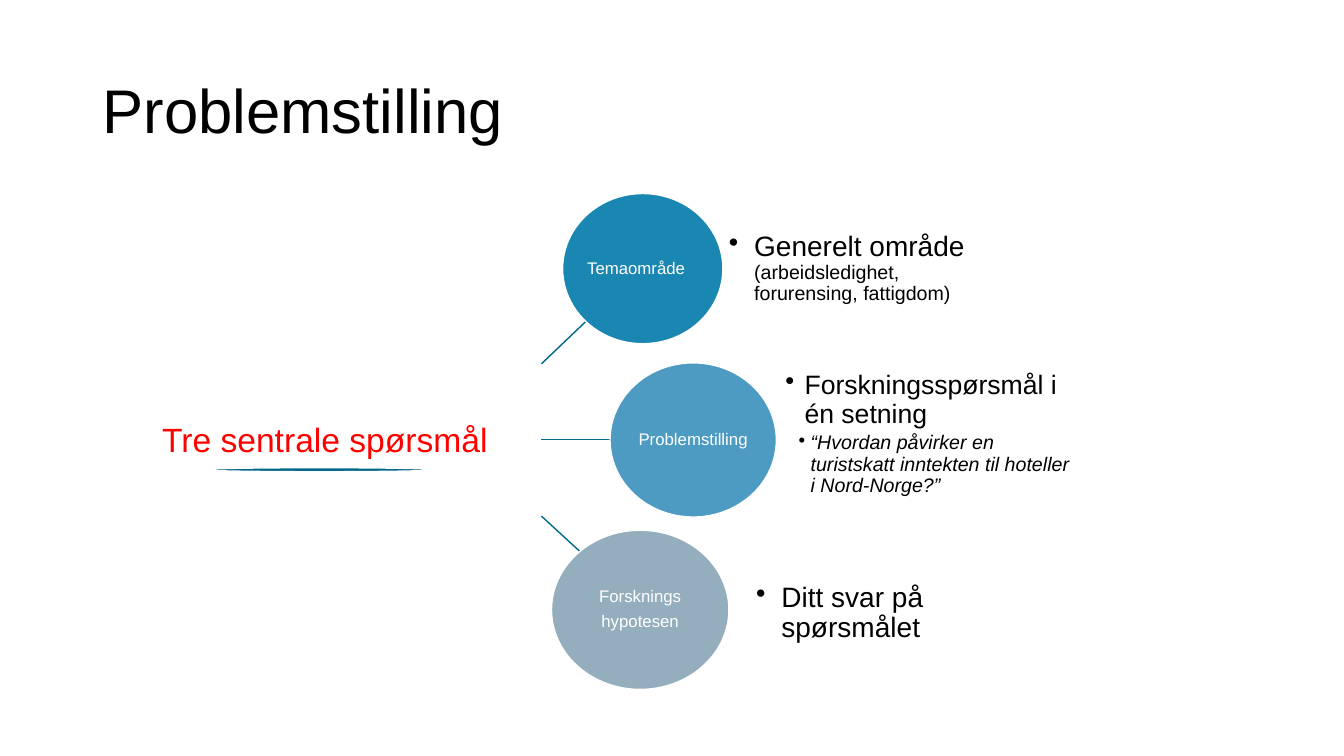
from dataclasses import dataclass

from lxml import etree
from pptx import Presentation
from pptx.dml.color import RGBColor
from pptx.enum.shapes import MSO_CONNECTOR, MSO_SHAPE
from pptx.enum.text import MSO_ANCHOR, PP_ALIGN
from pptx.oxml.ns import qn
from pptx.util import Emu, Pt

ELLIPSE = MSO_SHAPE.OVAL
STRAIGHT = MSO_CONNECTOR.STRAIGHT
MIDDLE = MSO_ANCHOR.MIDDLE
TOP = MSO_ANCHOR.TOP
CENTER = PP_ALIGN.CENTER
LEFT = PP_ALIGN.LEFT
EMU_PER_PX = 9144


@dataclass(frozen=True)
class Theme:
    """Colours, font and type sizes of the slide."""
    font: str = "Arial"
    text: str = "000000"
    white: str = "FFFFFF"
    accent: str = "006888"
    alert: str = "FF0000"
    circles: tuple = ("1A86B2", "4D9AC2", "95AEBE")
    title: int = 44
    heading: int = 24
    lead: int = 20
    question: int = 19
    small: int = 14
    label: int = 12
    line: int = 1


def px(value):
    """Turn whole px, 100 to the inch, into EMU."""
    return Emu(value * EMU_PER_PX)


def rgb(code):
    """Turn a hex code into a colour."""
    return RGBColor.from_string(code)


class SlideBuilder:
    """Draws themed elements on the current slide."""

    def __init__(self, slide, theme):
        """Keep the slide and its theme."""
        self.slide = slide
        self.theme = theme

    def style_run(self, run, size, color, italic=False):
        """Set the font of one run."""
        run.font.name = self.theme.font
        run.font.size = Pt(size)
        run.font.color.rgb = rgb(color)
        run.font.italic = italic

    def frame(self, shape, margins, anchor, wrap=True):
        """Set up the text frame of a shape and return it."""
        frame = shape.text_frame
        frame.word_wrap = wrap
        frame.vertical_anchor = anchor
        frame.margin_left, frame.margin_top, frame.margin_right, frame.margin_bottom = map(px, margins)
        return frame

    def text(self, box, text, size, color, anchor, wrap=True, spacing=1.0):
        """Add a single line of text."""
        shape = self.slide.shapes.add_textbox(*map(px, box))
        frame = self.frame(shape, (10, 5, 10, 5), anchor, wrap)
        frame.text = text
        paragraph = frame.paragraphs[0]
        paragraph.alignment = LEFT
        paragraph.line_spacing = spacing
        self.style_run(paragraph.runs[0], size, color)

    def ellipse(self, box, fill):
        """Add a filled ellipse with a thin white outline."""
        shape = self.slide.shapes.add_shape(ELLIPSE, *map(px, box))
        shape.shadow.inherit = False
        shape.fill.solid()
        shape.fill.fore_color.rgb = rgb(fill)
        shape.line.color.rgb = rgb(self.theme.white)
        shape.line.width = Pt(self.theme.line)
        return shape

    def circle(self, box, fill, label, right_margin):
        """Add a labelled circle."""
        shape = self.ellipse(box, fill)
        frame = self.frame(shape, (0, 0, right_margin, 0), MIDDLE, wrap=False)
        frame.text = label
        for paragraph in frame.paragraphs:
            paragraph.alignment = CENTER
            paragraph.line_spacing = 0.9
            paragraph.space_after = Pt(5)
            self.style_run(paragraph.runs[0], self.theme.label, self.theme.white)

    def spoke(self, start, end):
        """Add a straight line between two points."""
        connector = self.slide.shapes.add_connector(STRAIGHT, *map(px, start + end))
        connector.line.color.rgb = rgb(self.theme.accent)
        connector.line.width = Pt(self.theme.line)
        etree.SubElement(connector._element.spPr, qn("a:effectLst"))

    def bullets(self, box, items):
        """Add bulleted paragraphs, each with level, indent, hang and runs."""
        shape = self.slide.shapes.add_textbox(*map(px, box))
        frame = self.frame(shape, (0, 0, 0, 0), MIDDLE)
        for index, (level, indent, hang, runs) in enumerate(items):
            paragraph = frame.add_paragraph() if index else frame.paragraphs[0]
            paragraph.level = level
            paragraph.alignment = LEFT
            paragraph.line_spacing = 0.9
            paragraph.space_after = Pt(3)
            properties = paragraph._p.get_or_add_pPr()
            properties.set("marL", str(px(indent)))
            properties.set("indent", str(-px(hang)))
            etree.SubElement(properties, qn("a:buChar")).set("char", "•")
            for text, size, italic in runs:
                run = paragraph.add_run()
                run.text = text
                self.style_run(run, size, self.theme.text, italic)


def main():
    """Build and save the slide."""
    theme = Theme()
    presentation = Presentation()
    presentation.slide_width, presentation.slide_height = px(1333), px(750)
    slide = presentation.slides.add_slide(presentation.slide_layouts[6])
    builder = SlideBuilder(slide, theme)

    builder.text((92, 40, 1150, 145), "Problemstilling", theme.title, theme.text, MIDDLE, spacing=0.9)

    for start, end in (
        ((537, 512), (575, 547)),
        ((537, 436), (605, 436)),
        ((537, 361), (581, 319)),
    ):
        builder.spoke(start, end)
    builder.ellipse((202, 464, 229, 4), theme.accent)

    topics = (
        ((558, 192, 159, 149), "Temaområde", 13, (723, 192, 238, 149), (
            (1, 25, 25, (
                ("Generelt område ", theme.lead, False),
                ("(arbeidsledighet, forurensing, fattigdom)", theme.small, False),
            )),
        )),
        ((605, 360, 165, 153), "Problemstilling", 0, (779, 354, 283, 153), (
            (1, 19, 19, (("Forskningsspørsmål i én setning", theme.question, False),)),
            (2, 25, 12, ((
                "“Hvordan påvirker en turistskatt inntekten til hoteller i Nord-Norge?”",
                theme.small, True),)),
        )),
        ((547, 526, 176, 158), "Forsknings\nhypotesen", 0, (750, 529, 265, 159), (
            (1, 25, 25, (("Ditt svar på spørsmålet", theme.lead, False),)),
        )),
    )
    for fill, (circle_box, label, right_margin, detail_box, items) in zip(theme.circles, topics):
        builder.circle(circle_box, fill, label, right_margin)
        builder.bullets(detail_box, items)

    builder.text((151, 411, 346, 50), "Tre sentrale spørsmål", theme.heading, theme.alert, TOP, wrap=False)
    presentation.save("out.pptx")


if __name__ == "__main__":
    main()
